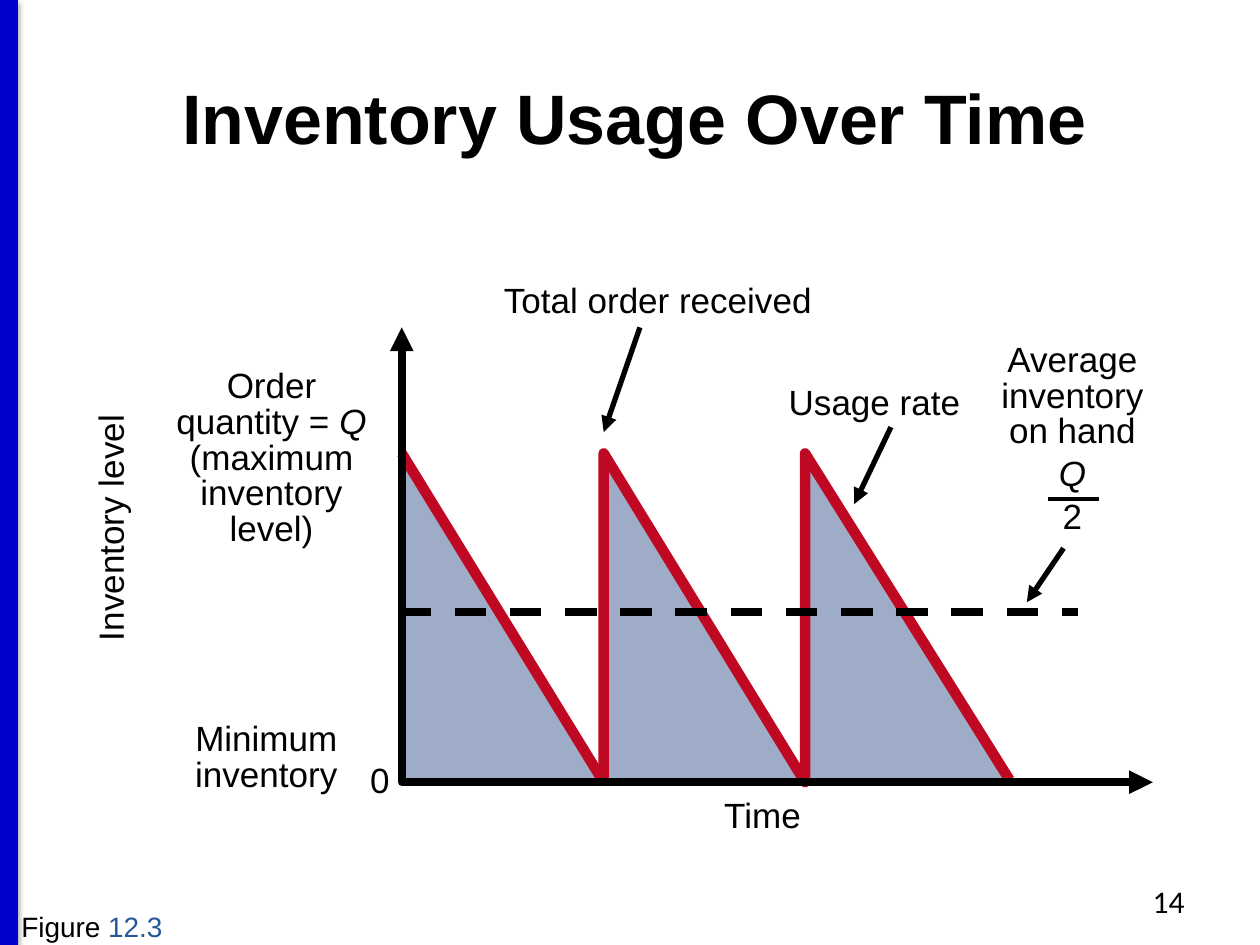
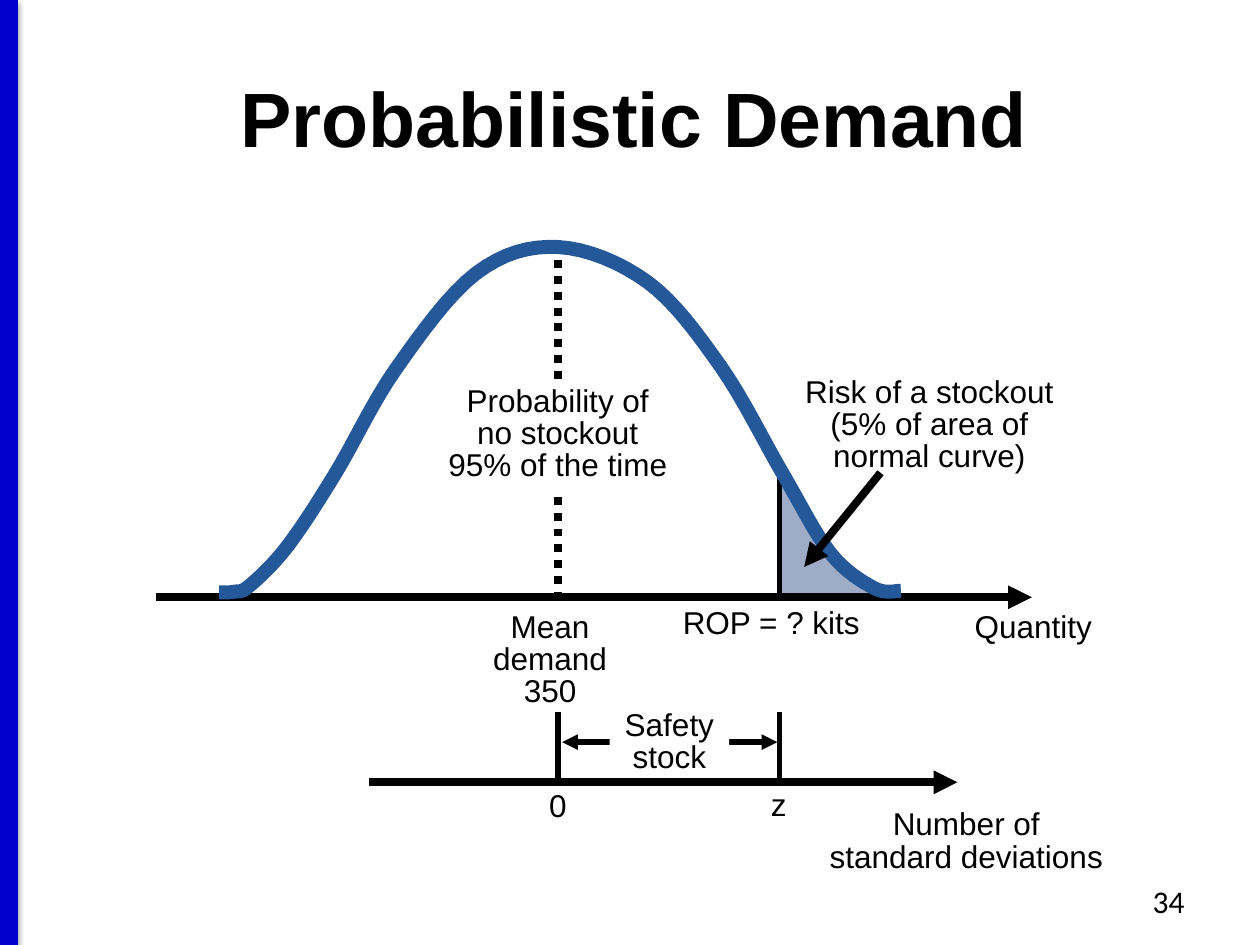
"""Build two inventory slides: usage over time and probabilistic demand."""
from lxml import etree
from pptx import Presentation
from pptx.dml.color import RGBColor
from pptx.enum.dml import MSO_LINE
from pptx.enum.shapes import MSO_CONNECTOR, MSO_SHAPE
from pptx.enum.text import MSO_ANCHOR, PP_ALIGN
from pptx.oxml.ns import qn
from pptx.util import Cm, Pt

HUES = {"ink": "000000", "band": "0000CC", "red": "BF0922",
        "area": "9FACC7", "blue": "255898", "white": "FFFFFF"}
LEFT, MID, RIGHT = PP_ALIGN.LEFT, PP_ALIGN.CENTER, PP_ALIGN.RIGHT
DASH, DOT = MSO_LINE.DASH, MSO_LINE.ROUND_DOT
STRAIGHT, WEDGE = MSO_CONNECTOR.STRAIGHT, MSO_SHAPE.RIGHT_TRIANGLE
CENTER = MSO_ANCHOR.MIDDLE


def rgb(hue):
    return RGBColor.from_string(HUES[hue])


def cms(*nums):
    return [Cm(num) for num in nums]


def style(para, size, align, bold=False, face="Arial"):
    para.alignment = align
    font = para.font
    font.name, font.size, font.bold = face, Pt(size), bold
    font.color.rgb = rgb("ink")


def pen(line, width, hue, ends=(), dash=None):
    line.color.rgb = rgb(hue)
    line.width = Pt(width)
    if dash:
        line.dash_style = dash
    root = line.fill._xPr
    for end in ends:
        etree.SubElement(root, qn(f"a:{end}End"), type="triangle")


def rule(slide, x1, y1, x2, y2, width=3, hue="ink", ends=(), dash=None):
    line = slide.shapes.add_connector(STRAIGHT, *cms(x1, y1, x2, y2))
    pen(line.line, width, hue, ends, dash)
    return etree.SubElement(line._element.spPr, qn("a:effectLst"))


def path(slide, spots, close=False):
    spots = [cms(*spot) for spot in spots]
    draft = slide.shapes.build_freeform(*spots[0], scale=1.0)
    draft.add_line_segments(spots[1:], close=close)
    shape = draft.convert_to_shape()
    shape.shadow.inherit = False
    return shape


def stroke(slide, spots, width, hue, ends=()):
    shape = path(slide, spots)
    shape.fill.background()
    pen(shape.line, width, hue, ends)


def paint(shape, hue):
    shape.fill.solid()
    shape.fill.fore_color.rgb = rgb(hue)
    shape.line.fill.background()


def label(slide, box, text, size, align, gap, wrap, accent=None):
    """Add text; parts between asterisks are italic, or take the accent hue."""
    shape = slide.shapes.add_textbox(*cms(*box))
    frame = shape.text_frame
    frame.word_wrap = wrap
    for row, words in enumerate(text.split("\n")):
        para = frame.add_paragraph() if row else frame.paragraphs[0]
        style(para, size, align)
        para.line_spacing = gap
        if row:
            para.space_before = Pt(0.2 * size)
        parts = words.split("*")
        para.text = parts[0]
        for turn, part in enumerate(parts[1:]):
            run = para.add_run()
            run.text = part
            if turn % 2 == 0 and accent:
                run.font.color.rgb = rgb(accent)
            elif turn % 2 == 0:
                run.font.italic = True
    return shape


def note(slide, box, text, size):
    return label(slide, box, text, size, MID, 0.85, True)


def tag(slide, box, text, size, accent=None):
    return label(slide, box, text, size, LEFT, 1.0, False, accent)


def smooth(knots, steps=8):
    """Return points of a Catmull-Rom curve through the knots."""
    pad = [knots[0], *knots, knots[-1]]
    spots = [knots[0]]
    for four in zip(pad, pad[1:], pad[2:], pad[3:]):
        for step in range(1, steps + 1):
            t = step / steps
            spots.append(tuple(
                b + t * (c - a) / 2 + t * t * (2 * a - 5 * b + 4 * c - d) / 2
                + t ** 3 * (3 * b - a - 3 * c + d) / 2
                for a, b, c, d in zip(*four)))
    return spots


def start(deck, title, size, page):
    slide = deck.slides.add_slide(deck.slide_layouts[5])
    glow = rule(slide, 0.18, 0, 0.18, 19.05, 10, "band")
    cast = etree.SubElement(glow, qn("a:outerShdw"), blurRad="40000",
                            dist="20000", dir="5400000", rotWithShape="0")
    tint = etree.SubElement(cast, qn("a:srgbClr"), val=HUES["ink"])
    etree.SubElement(tint, qn("a:alpha"), val="38000")
    head = slide.shapes.title
    head.left, head.top, head.width, head.height = cms(0.18, 0.76, 25.22, 3.18)
    head.text_frame.text = title
    head.text_frame.vertical_anchor = CENTER
    style(head.text_frame.paragraphs[0], size, MID, True)
    foot = slide.shapes.add_textbox(*cms(18.21, 17.65, 5.92, 1.02))
    foot.text_frame.text = page
    style(foot.text_frame.paragraphs[0], 18, RIGHT, face="Calibri")
    return slide


def usage(deck):
    slide = start(deck, "Inventory Usage Over Time", 40, "14")
    tag(slide, (0.18, 18.21, 3.5, 0.94), "Figure *12.3", 16, "blue")
    peak, base = 9.14, 15.77
    dates = [8.1, 12.17, 16.23, 20.35]
    for left, right in zip(dates, dates[1:]):
        area = slide.shapes.add_shape(
            WEDGE, *cms(left, peak + 0.1, right - left, base - peak - 0.1))
        area.shadow.inherit = False
        paint(area, "area")
    rule(slide, dates[0], peak, dates[1], base, 6, "red")
    teeth = [(x, y) for x in dates[1:3] for y in (base, peak)]
    stroke(slide, [*teeth, (dates[3], base - 0.05)], 6, "red")
    note(slide, (3, 7.34, 4.95, 3.91),
         "Order quantity = *Q* (maximum inventory level)", 20)
    tag(slide, (15.65, 7.54, 4.11, 1.09), "Usage rate", 20)
    rule(slide, 17.96, 8.61, 17.22, 10.16, ends=["tail"])
    rule(slide, 8.05, 12.34, 21.74, 12.34, 4.5, dash=DASH)
    note(slide, (19.51, 6.81, 4.22, 4.27),
         "Average inventory on hand\n*Q*\n2", 20)
    rule(slide, 21.13, 10.06, 22.15, 10.06, 2.25)
    rule(slide, 21.44, 11.05, 20.7, 12.14, ends=["tail"])
    note(slide, (3.4, 14.45, 3.94, 1.73), "Minimum inventory", 20)
    side = tag(slide, (-0.33, 10.06, 5.11, 1.12), "Inventory level", 20)
    side.rotation = 270
    tag(slide, (14.35, 15.88, 2.06, 1.12), "Time", 20)
    stroke(slide, [(8.1, 6.6), (8.1, base), (23.24, base)], 4.5, "ink",
           ["head", "tail"])
    tag(slide, (7.21, 15.16, 0.91, 1.09), "0", 20)
    tag(slide, (9.91, 5.49, 6.76, 1.12), "Total order received", 20)
    rule(slide, 12.9, 6.6, 12.17, 8.71, ends=["tail"])


def demand(deck):
    slide = start(deck, "Probabilistic Demand", 44, "34")
    mean, rop, base, scale = 11.25, 15.72, 12.04, 15.77
    rule(slide, mean + 0.08, 14.96, rop - 0.05, 14.96, ends=["head", "tail"])
    paint(note(slide, (12.29, 14.2, 2.41, 1.57), "Safety stock", 18), "white")
    rule(slide, mean, 4.93, mean, 11.99, 4.5, dash=DOT)
    paint(note(slide, (8.64, 7.67, 5.21, 2.24),
               "Probability of\vno stockout\v95% of the time", 18), "white")
    note(slide, (9.58, 12.22, 3.02, 2.24), "Mean demand 350", 18)
    risk = path(slide, [(rop, 9.47), (rop, 12.01), (18.03, 12.01),
                        (17.68, 11.86), (17.09, 11.46), (16.76, 11.15),
                        (16.13, 10.13)], True)
    paint(risk, "area")
    rule(slide, rop, 9.53, rop, 11.96)
    note(slide, (13, 12.14, 5.1, 0.94), "ROP = ? kits", 18)
    rule(slide, 3.15, base, 20.8, base, 4.5, ends=["tail"])
    note(slide, (18.83, 12.22, 4, 0.94), "Quantity", 18)
    rule(slide, 7.44, scale, 19.3, scale, 4.5, ends=["tail"])
    for x in (mean, rop):
        rule(slide, x, 14.35, x, scale)
    note(slide, (16.18, 16.21, 6.6, 1.57),
         "Number of\vstandard deviations", 18)
    tag(slide, (10.82, 15.72, 0.86, 1.02), "0", 18)
    tag(slide, (15.29, 15.7, 0.84, 1.02), "z", 18)
    bell = [(4.42, 11.94), (4.72, 11.93), (5.03, 11.81), (5.79, 11.02),
            (6.76, 9.55), (7.98, 7.44), (9.6, 5.51), (11.25, 4.98),
            (13.06, 5.69), (14.53, 7.39), (15.77, 9.53), (16.74, 11.15),
            (17.63, 11.86), (18.16, 11.91)]
    stroke(slide, smooth(bell), 8, "blue")
    note(slide, (15.7, 7.49, 6.07, 2.24),
         "Risk of a stockout (5% of area of normal curve)", 18)
    rule(slide, 17.75, 9.53, 16.21, 11.43, 4.5, ends=["tail"])


def main():
    deck = Presentation()
    deck.slide_width, deck.slide_height = cms(25.4, 19.05)
    usage(deck)
    demand(deck)
    deck.save("out.pptx")


if __name__ == "__main__":
    main()
